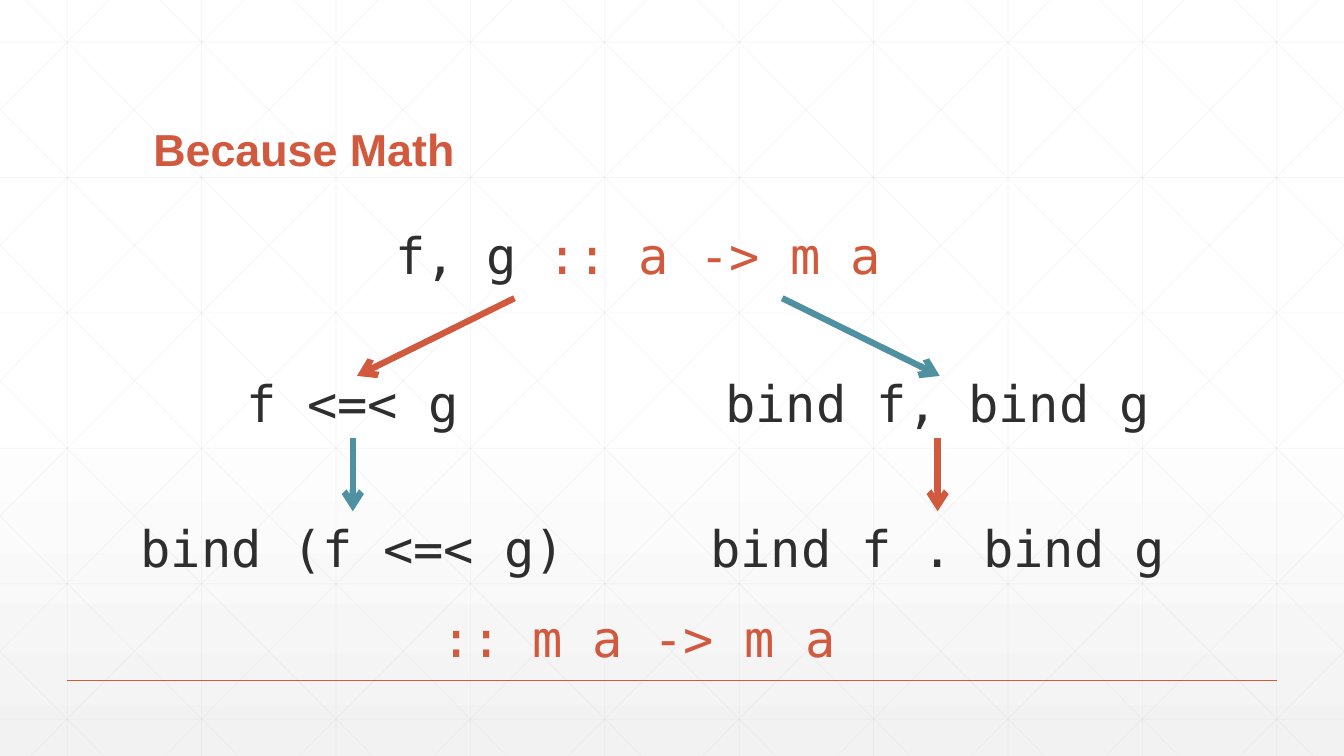
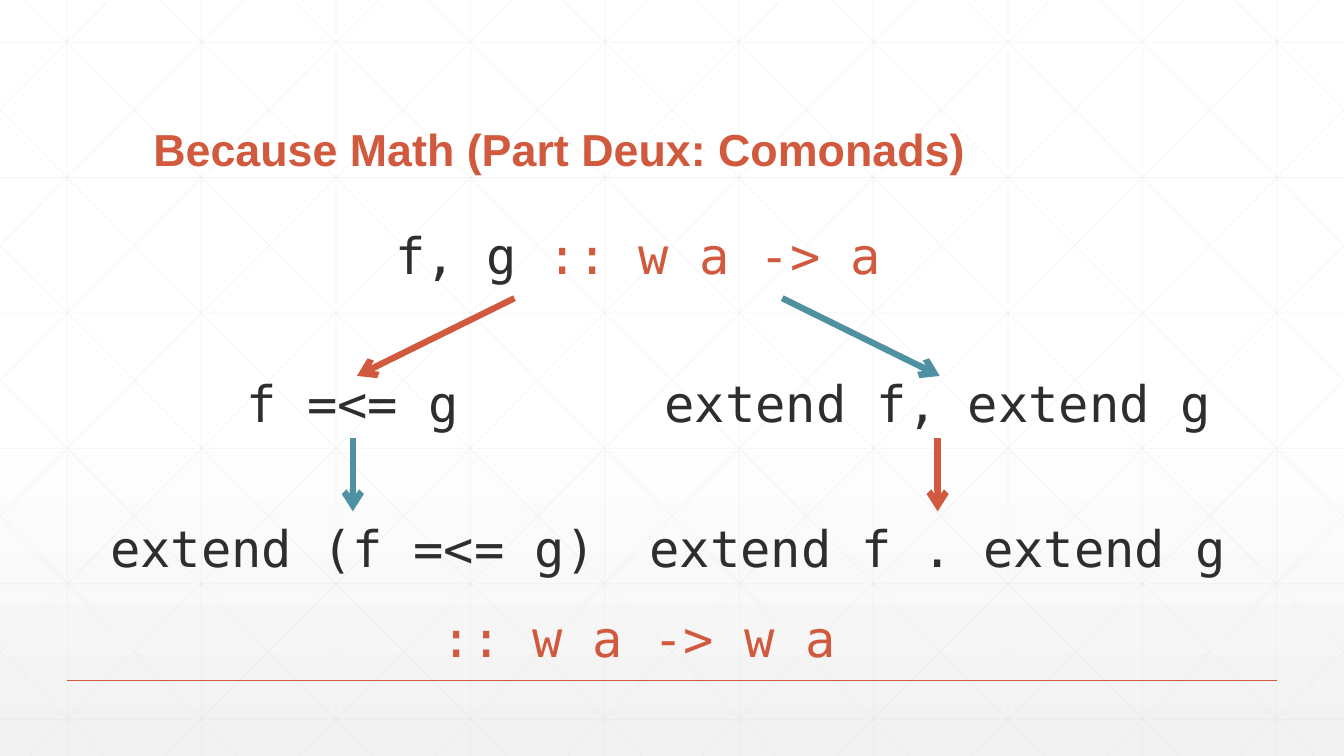
from lxml.etree import SubElement
from pptx import Presentation
from pptx.dml.color import RGBColor
from pptx.enum.shapes import MSO_CONNECTOR
from pptx.enum.text import MSO_ANCHOR, PP_ALIGN
from pptx.oxml.ns import qn
from pptx.util import Pt

EMU_PER_PX = 9525
WIDTH, HEIGHT = 1280, 720
COLORS = {"rust": "D15A3E", "teal": "4F91A1", "ink": "2D2E2D",
          "grid": "D9D9D9", "white": "FFFFFF", "mist": "F2F2F2"}
TITLE_FONT, CODE_FONT = "Arial", "DejaVu Sans Mono"

# Background grid
PITCH_X, FIRST_X = 128, 64
PITCH_Y, FIRST_Y = 129, 40
DIAGONAL_START, DIAGONAL_RUN = 24, 715

# Diagram, relative to its box
DIAGRAM_BOX = (58, 208)
LEFT, MIDDLE, RIGHT = 278, 550, 835
TOP_ROW, SPLIT_ROW, RESULT_ROW, TYPE_ROW = 0, 141, 279, 365
CODE_WIDTH, CODE_HEIGHT = 557, 68

LAWS = [
    {"title": "Because Math", "names": "f, g ", "type": ":: a -> m a",
     "composed": "f <=< g", "lifted": "bind f, bind g",
     "lifted composed": "bind (f <=< g)", "composed lifted": "bind f . bind g",
     "result": ":: m a -> m a"},
    {"title": "Because Math (Part Deux: Comonads)", "names": "f, g ", "type": ":: w a -> a",
     "composed": "f =<= g", "lifted": "extend f, extend g",
     "lifted composed": "extend (f =<= g)", "composed lifted": "extend f . extend g",
     "result": ":: w a -> w a"},
]


def px(length):
    return round(length * EMU_PER_PX)


def rgb(name):
    return RGBColor.from_string(COLORS[name])


def write(slide, box, runs, size=36, font=CODE_FONT, bold=False, align=PP_ALIGN.CENTER,
          anchor=MSO_ANCHOR.MIDDLE, wrap=False, spacing=1.0, inset=0):
    """Place a text box; runs are (text, colour) pairs."""
    area = slide.shapes.add_textbox(*map(px, box))
    frame = area.text_frame
    frame.word_wrap = wrap
    frame.vertical_anchor = anchor
    frame.margin_left = frame.margin_right = px(inset)
    paragraph = frame.paragraphs[0]
    paragraph.alignment = align
    paragraph.line_spacing = spacing
    for text, color in runs:
        run = paragraph.add_run()
        run.text = text
        run.font.size, run.font.name, run.font.bold = Pt(size), font, bold
        run.font.color.rgb = rgb(color)
    return area


def draw_line(slide, start, end, color, width, opacity=100, arrow=False):
    line = slide.shapes.add_connector(MSO_CONNECTOR.STRAIGHT, *map(px, (*start, *end)))
    line.line.width = Pt(width)
    line.line.color.rgb = rgb(color)
    properties = line.element.spPr
    outline = properties.find(qn("a:ln"))
    if opacity < 100:
        SubElement(outline.find(".//" + qn("a:srgbClr")), qn("a:alpha"), val=str(opacity * 1000))
    if arrow:
        SubElement(outline, qn("a:tailEnd"), type="arrow")
    SubElement(properties, qn("a:effectLst"))
    return line


def draw_grid(slide):
    def grid_line(start, end):
        draw_line(slide, start, end, "grid", 0.5, opacity=25)

    for x in range(FIRST_X, WIDTH, PITCH_X):
        grid_line((x, 0), (x, HEIGHT))
    for y in range(FIRST_Y, HEIGHT, PITCH_Y):
        grid_line((0, y), (WIDTH, y))
    # Diagonals clipped to the slide, each with its mirror
    slope = HEIGHT / DIAGONAL_RUN
    for x in range(DIAGONAL_START - 5 * PITCH_X, WIDTH, PITCH_X):
        x1, x2 = max(x, 0), min(x + DIAGONAL_RUN, WIDTH)
        y1, y2 = (x1 - x) * slope, (x2 - x) * slope
        grid_line((x1, y1), (x2, y2))
        grid_line((WIDTH - x1, y1), (WIDTH - x2, y2))


def dress_layout(layout, slide):
    """Give the layout its background, grid and footer rule, drawn by way of a slide."""
    for placeholder in list(layout.placeholders):
        layout.shapes.element.remove(placeholder.element)
    fill = layout.background.fill
    fill.gradient()
    fill.gradient_angle = 270
    for stop, (color, position) in zip(fill.gradient_stops, [("white", 0.53), ("mist", 1)]):
        stop.color.rgb = rgb(color)
        stop.position = position
    draw_grid(slide)
    draw_line(slide, (64, 648), (WIDTH - 64, 648), "rust", 1)
    for line in list(slide.shapes):
        layout.shapes.element.append(line.element)


def add_title(slide, box, title):
    write(slide, box, [(title, "rust")], size=32, font=TITLE_FONT, bold=True,
          align=PP_ALIGN.LEFT, anchor=MSO_ANCHOR.BOTTOM, wrap=True, spacing=0.9, inset=10)


def add_diagram(slide, origin, law):
    left, top = origin

    def code(center, row, *runs):
        box = (left + center - CODE_WIDTH / 2, top + row, CODE_WIDTH, CODE_HEIGHT)
        return write(slide, box, runs)

    # Signature, two paths, shared result type
    code(MIDDLE, TOP_ROW, (law["names"], "ink"), (law["type"], "rust"))
    composed = code(LEFT, SPLIT_ROW, (law["composed"], "ink"))
    lifted_composed = code(LEFT, RESULT_ROW, (law["lifted composed"], "ink"))
    lifted = code(RIGHT, SPLIT_ROW, (law["lifted"], "ink"))
    composed_lifted = code(RIGHT, RESULT_ROW, (law["composed lifted"], "ink"))
    code(MIDDLE, TYPE_ROW, (law["result"], "rust"))

    # Arrows branching from the signature
    for start, end, color in [(432, 282, "rust"), (687, 837, "teal")]:
        draw_line(slide, (left + start, top + 76), (left + end, top + 150),
                  color, 4.5, arrow=True)
    # Arrows down each path
    for source, target, color in [(composed, lifted_composed, "teal"),
                                  (lifted, composed_lifted, "rust")]:
        arrow = draw_line(slide, (0, 0), (0, 0), color, 4.5, arrow=True)
        arrow.begin_connect(source, 2)
        arrow.end_connect(target, 0)


def main():
    deck = Presentation()
    deck.slide_width, deck.slide_height = px(WIDTH), px(HEIGHT)
    blank = deck.slide_layouts[6]
    slides = [deck.slides.add_slide(blank) for _ in LAWS]
    dress_layout(blank, slides[0])
    for slide, law in zip(slides, LAWS):
        add_title(slide, (136, 53, 1008, 120), law["title"])
        add_diagram(slide, DIAGRAM_BOX, law)
    deck.save("out.pptx")


if __name__ == "__main__":
    main()
